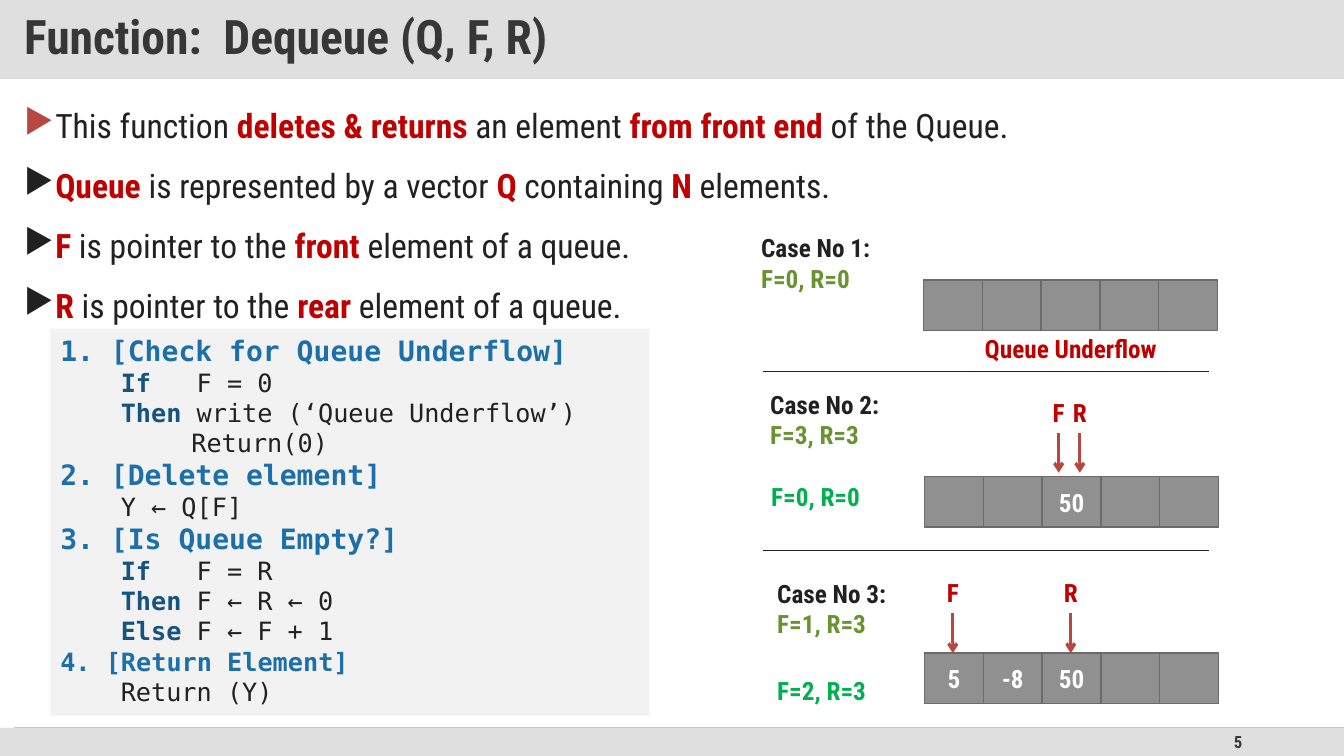
from lxml.etree import SubElement
from pptx import Presentation
from pptx.dml.color import RGBColor
from pptx.enum.shapes import MSO_CONNECTOR, MSO_SHAPE
from pptx.enum.text import MSO_ANCHOR, PP_ALIGN
from pptx.oxml.ns import qn
from pptx.util import Inches, Pt

UNIT = Inches(0.1)
WIDE, HIGH = 133.3, 75
CELL, TALL = 5.83, 5

INK = RGBColor(0x21, 0x21, 0x21)
DARK = RGBColor(0x37, 0x37, 0x37)
WHITE = RGBColor(0xFF, 0xFF, 0xFF)
BAND = RGBColor(0xDF, 0xDF, 0xDF)
RULE = RGBColor(0xD9, 0xD9, 0xD9)
FOOT = RGBColor(0xC8, 0xC8, 0xC8)
PANEL = RGBColor(0xF2, 0xF2, 0xF2)
GREY = RGBColor(0x90, 0x90, 0x90)
EDGE = RGBColor(0x6B, 0x6B, 0x6B)
RED = RGBColor(0xC0, 0x00, 0x00)
BRICK = RGBColor(0xB8, 0x47, 0x42)
BLUE = RGBColor(0x1D, 0x6F, 0xA9)
NAVY = RGBColor(0x16, 0x53, 0x7F)
OLIVE = RGBColor(0x69, 0x93, 0x31)
GREEN = RGBColor(0x00, 0xB0, 0x50)

SANS = "Roboto Condensed"
MONO = "DejaVu Sans Mono"

POINTS = [
    "This function *deletes & returns *an element *from front end *of the Queue.",
    "*Queue *is represented by a vector *Q* containing *N* elements.",
    "*F* is pointer to the *front *element of a queue.",
    "*R* is pointer to the *rear *element of a queue.",
]
STEPS = [
    ("1. [Check for Queue Underflow]", 20, [
        ("*If *  F = 0", 6), ("*Then *write (‘Queue Underflow’)", 6), ("Return(0)", 13)]),
    ("2. [Delete element]", 20, [("Y ← Q[F]", 6)]),
    ("3. [Is Queue Empty?]", 20, [
        ("*If*   F = R", 6), ("*Then *F ← R ← 0", 6), ("*Else *F ← F + 1", 6)]),
    ("4. [Return Element]", 18, [("Return (Y)", 6)]),
]
CASES = [
    ("Case No 1:", "F=0, R=0", 74.5, 22.6),
    ("Case No 2:", "F=3, R=3", 75.4, 38.1),
    ("Case No 3:", "F=1, R=3", 76.1, 56.9),
]
AFTER = [("F=0, R=0", 75.5, 47.3), ("F=2, R=3", 76.1, 66.5)]
ROWS = [
    (91.6, 27.8, ["", "", "", "", ""]),
    (91.7, 47.3, ["", "", "50", "", ""]),
    (91.7, 64.8, ["5", "-8", "50", "", ""]),
]
MARKS = [("F", 105, 38.9), ("R", 107.1, 38.9), ("F", 94.5, 56.8), ("R", 106.2, 56.8)]


def write(frame, text, size=18, font=SANS, color=INK, bold=True, accent=RED,
          align=PP_ALIGN.LEFT, left=0, hang=0, bullet=None, space=None, gap=0):
    """Add a paragraph whose parts between asterisks are bold in the accent colour."""
    para = frame.paragraphs[0]
    first = not para.runs
    if not first:
        para = frame.add_paragraph()
    props = para._p.get_or_add_pPr()
    props.set("marL", str(int(left * UNIT)))
    props.set("indent", str(int(-hang * UNIT)))
    if bullet is not None:
        tint = SubElement(props, qn("a:buClr"))
        SubElement(tint, qn("a:srgbClr"), val=str(bullet))
        SubElement(props, qn("a:buChar"), char="▶")
    para.alignment = align
    if space:
        para.line_spacing = space
    para.space_before = Pt(0 if first else gap)
    for index, part in enumerate(text.split("*")):
        if part:
            strong = index % 2 == 1
            run = para.add_run()
            run.text = part
            run.font.size = Pt(size)
            run.font.name = font
            run.font.bold = bold or strong
            run.font.color.rgb = accent if strong else color


class Board:
    """Hold the slide and draw styled elements on a grid of tenths of an inch."""

    def __init__(self, slide):
        """Keep the slide to draw on."""
        self.shapes = slide.shapes

    def frame(self, shape, anchor, inset):
        """Prepare the text frame of a shape."""
        frame = shape.text_frame
        frame.word_wrap = True
        frame.vertical_anchor = anchor
        across, down = inset
        frame.margin_left = frame.margin_right = int(across * UNIT)
        frame.margin_top = frame.margin_bottom = int(down * UNIT)
        return frame

    def block(self, x, y, w, h, fill, edge=None, anchor=MSO_ANCHOR.MIDDLE, inset=(1, 0.5)):
        """Draw a filled rectangle and return its text frame."""
        place = [int(n * UNIT) for n in (x, y, w, h)]
        shape = self.shapes.add_shape(MSO_SHAPE.RECTANGLE, *place)
        shape.shadow.inherit = False
        shape.fill.solid()
        shape.fill.fore_color.rgb = fill
        if edge is None:
            shape.line.fill.background()
        else:
            shape.line.color.rgb = edge
            shape.line.width = Pt(1)
        return self.frame(shape, anchor, inset)

    def label(self, x, y, w, h, anchor=MSO_ANCHOR.TOP, inset=(1, 0.5)):
        """Add a text box and return its text frame."""
        place = [int(n * UNIT) for n in (x, y, w, h)]
        return self.frame(self.shapes.add_textbox(*place), anchor, inset)

    def rule(self, x, y, right, low, color, width, arrow=False):
        """Draw a straight line, with an arrowhead on request."""
        place = [int(n * UNIT) for n in (x, y, right, low)]
        line = self.shapes.add_connector(MSO_CONNECTOR.STRAIGHT, *place)
        line.line.color.rgb = color
        line.line.width = Pt(width)
        props = line.element.spPr
        if arrow:
            SubElement(props.find(qn("a:ln")), qn("a:tailEnd"), type="arrow")
        SubElement(props, qn("a:effectLst"))

    def queue(self, x, y, items):
        """Draw a row of queue cells."""
        for index, item in enumerate(items):
            cell = self.block(x + index * CELL, y, CELL, TALL, GREY, EDGE, inset=(0, 0))
            if item:
                write(cell, item, color=WHITE, align=PP_ALIGN.CENTER)

    def mark(self, name, x, y):
        """Draw a named pointer above a queue cell."""
        box = self.label(x - 1.25, y, 2.5, 4, inset=(0, 0.5))
        write(box, name, color=RED, align=PP_ALIGN.CENTER)
        self.rule(x, y + 4.05, x, y + 8, BRICK, 2.25, arrow=True)


def main():
    """Build the slide and save it."""
    deck = Presentation()
    deck.slide_width = int(WIDE * UNIT)
    deck.slide_height = int(HIGH * UNIT)
    board = Board(deck.slides.add_slide(deck.slide_layouts[6]))

    board.block(0, 72.2, WIDE, 2.8, BAND)
    page = board.label(94.2, 72.2, 30, 2.8, MSO_ANCHOR.MIDDLE)
    write(page, "5", size=12, color=DARK, align=PP_ALIGN.RIGHT)
    board.rule(0, 7.8, WIDE, 7.8, RULE, 1)
    board.rule(1.4, 72.2, WIDE, 72.2, FOOT, 1)
    title = board.block(0, 0, WIDE, 7.8, BAND, inset=(2.4, 1.2))
    write(title, "Function:  Dequeue (Q, F, R)", size=34, color=DARK, space=0.9)

    body = board.label(1.4, 9.4, 130.5, 61.1)
    for index, point in enumerate(POINTS):
        write(body, point, size=24, bold=False, align=PP_ALIGN.JUSTIFY, left=2.9, hang=2.9,
              bullet=INK if index else BRICK, space=1.14, gap=10)

    code = board.block(5, 32.6, 59.4, 38.4, PANEL, anchor=MSO_ANCHOR.TOP)
    for head, size, lines in STEPS:
        write(code, head, size=size, font=MONO, color=BLUE)
        for line, left in lines:
            write(code, line, font=MONO, bold=False, accent=NAVY, left=left)

    for x, y, items in ROWS:
        board.queue(x, y, items)
    for name, state, x, y in CASES:
        case = board.label(x, y, 14.5, 7.1)
        write(case, name)
        write(case, state, color=OLIVE)
    for state, x, y in AFTER:
        write(board.label(x, y, 12.5, 4), state, color=GREEN)
    for name, x, y in MARKS:
        board.mark(name, x, y)
    note = board.label(91.7, 32.6, 29, 4)
    write(note, "Queue Underflow", color=RED, align=PP_ALIGN.CENTER)
    for y in (36.8, 54.6):
        board.rule(75.7, y, 119.9, y, INK, 0.5)

    deck.save("out.pptx")


if __name__ == "__main__":
    main()
